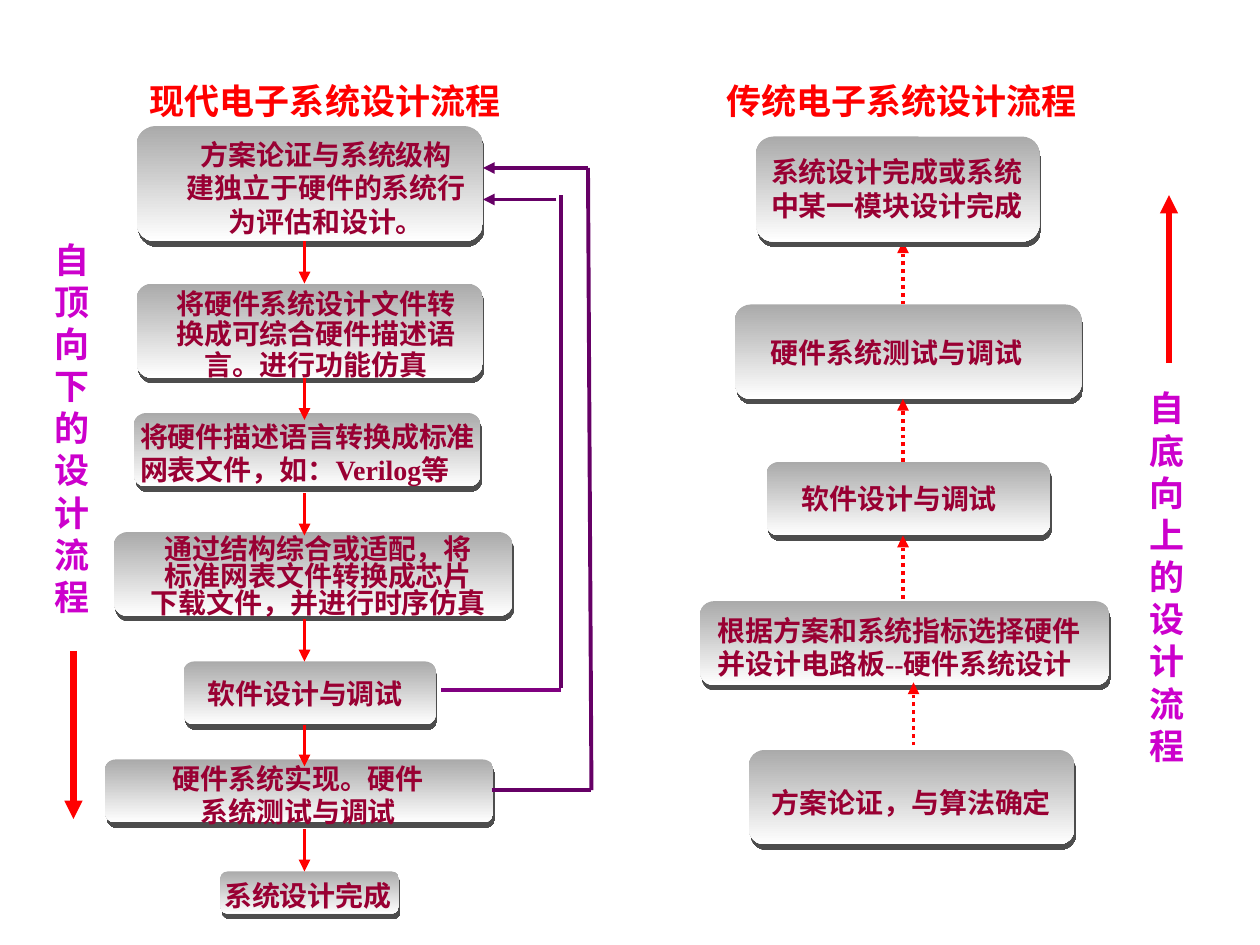
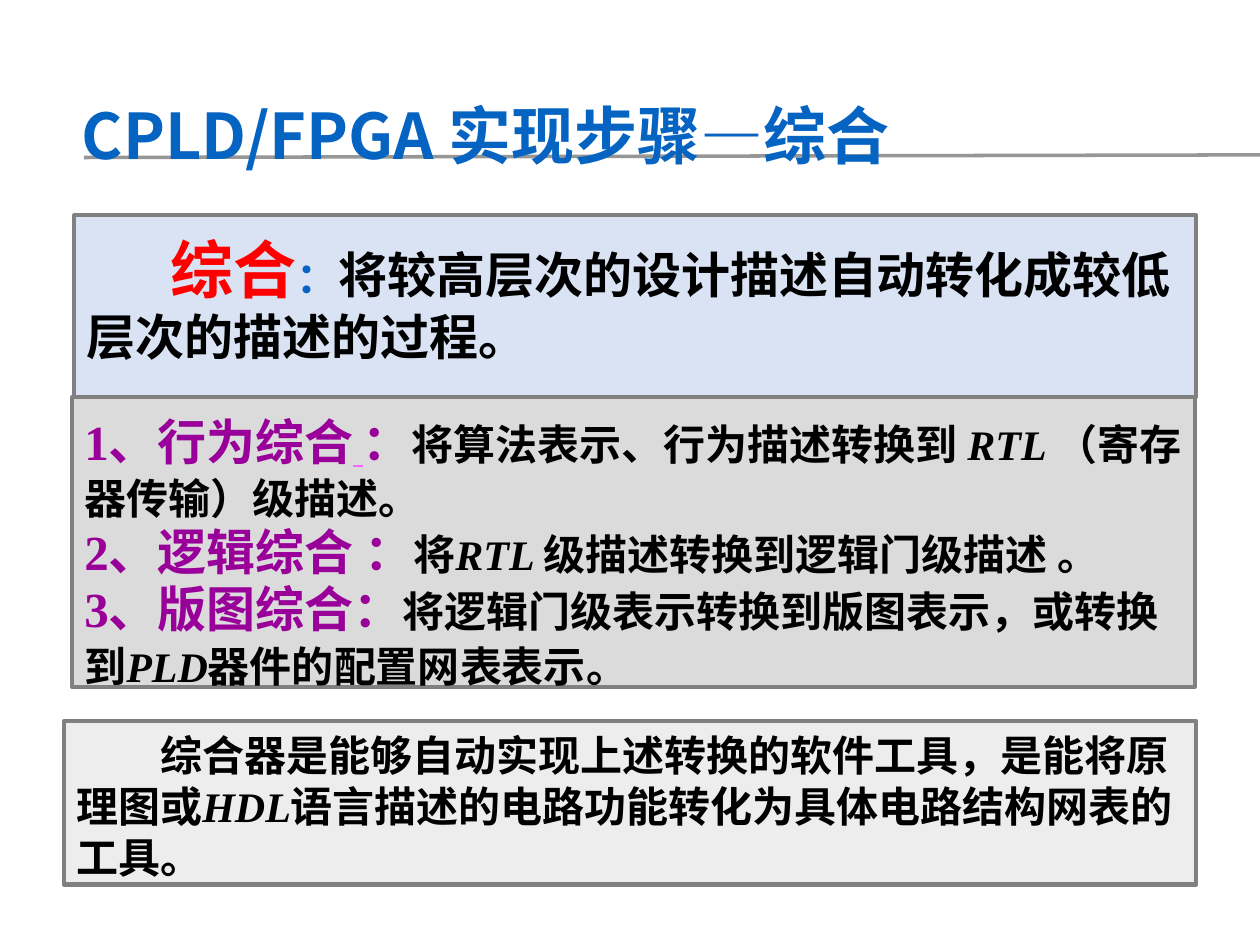
from collections import namedtuple

from lxml import etree
from pptx import Presentation
from pptx.dml.color import RGBColor
from pptx.enum import dml, shapes, text
from pptx.oxml.ns import qn
from pptx.util import Pt

COLORS = {
    "heading": "FF0000", "node_text": "990033", "direction": "CC00CC",
    "node_top": "AAAAAA", "node_bottom": "FFFFFF", "shadow": "4D4D4D",
    "arrow": "FF0000", "feedback": "660066", "feedback_stub": "800080",
    "title": "0563C1", "rule": "969696", "border": "808080", "body": "000000",
    "term": "990099", "underline": "FF66FF",
    "definition_fill": "DAE3F3", "kinds_fill": "DBDBDB", "tool_fill": "EDEDED",
}
CJK, SERIF = "Noto Sans CJK SC", "Times New Roman"
LEFT, CENTER = text.PP_ALIGN.LEFT, text.PP_ALIGN.CENTER

# Parts of a flow step: shape and text places are relative to region and shape
Step = namedtuple("Step", "dx dy width height text_dx text_dy text_width lines pitch align",
                  defaults=(19.2, LEFT))


def rgb(name):
    return RGBColor.from_string(COLORS[name])


def sub(parent, tag, **attributes):
    return etree.SubElement(parent, qn(tag), attributes)


# ---- Shared drawing helpers ----
def style(font, size=None, color=None, bold=None, italic=None, underline=None, face=None):
    if size:
        font.size = Pt(size)
    if color:
        font.color.rgb = rgb(color)
    if face:
        font.name = face
    for key, value in (("bold", bold), ("italic", italic), ("underline", underline)):
        if value is not None:
            setattr(font, key, value)


def write(frame, paragraphs, size, color, pitch, align=LEFT, top=5, indent=0,
          gap=0, face=SERIF, wrap=True):
    """Each paragraph is a string or a list of (text, font overrides)."""
    frame.auto_size = text.MSO_AUTO_SIZE.NONE
    frame.word_wrap = wrap
    frame.vertical_anchor = text.MSO_ANCHOR.TOP
    frame.margin_left = frame.margin_right = Pt(7.2)
    frame.margin_top, frame.margin_bottom = Pt(top), Pt(3.6)
    for number, content in enumerate(paragraphs):
        para = frame.add_paragraph() if number else frame.paragraphs[0]
        para.alignment = align
        para.line_spacing = Pt(pitch)
        para.space_before = Pt(gap if number else 0)
        properties = para._p.get_or_add_pPr()
        properties.set("marL", "0")
        properties.set("indent", str(int(Pt(indent))))
        sub(properties, "a:buNone")
        style(para.font, size, color, bold=True, face=face)
        latin = properties.find(qn("a:defRPr")).find(qn("a:latin"))
        latin.addnext(latin.makeelement(qn("a:ea"), {"typeface": CJK}))
        for words, overrides in [(content, {})] if isinstance(content, str) else content:
            span = para.add_run()
            span.text = words
            style(span.font, **overrides)


def add_text(page, x, y, width, height, paragraphs, *args, **options):
    box = page.shapes.add_textbox(Pt(x), Pt(y), Pt(width), Pt(height))
    write(box.text_frame, paragraphs, *args, **options)


def add_line(page, start, end, color, weight=2.25, arrow=False, dotted=False):
    line = page.shapes.add_connector(shapes.MSO_CONNECTOR.STRAIGHT,
                                     *(Pt(value) for value in (*start, *end)))
    line.line.color.rgb = rgb(color)
    line.line.width = Pt(weight)
    if dotted:
        line.line.dash_style = dml.MSO_LINE.ROUND_DOT
    if arrow:
        sub(line.line._get_or_add_ln(), "a:tailEnd", type="triangle")
    sub(line._element.spPr, "a:effectLst")
    return line


def place(shape, x, y, width, height):
    shape.left, shape.top, shape.width, shape.height = map(Pt, (x, y, width, height))


def frame_panel(shape, fill, weight=2.25):
    shape.fill.solid()
    shape.fill.fore_color.rgb = rgb(fill)
    shape.line.color.rgb = rgb("border")
    shape.line.width = Pt(weight)


# ---- Flow chart regions ----
def add_step(page, left, top, step):
    x, y = left + step.dx, top + step.dy
    node = page.shapes.add_shape(shapes.MSO_SHAPE.FLOWCHART_ALTERNATE_PROCESS,
                                 Pt(x), Pt(y), Pt(step.width), Pt(step.height))
    node.fill.gradient()
    node.fill.gradient_angle = 270
    for stop, color in zip(node.fill.gradient_stops, ("node_top", "node_bottom")):
        stop.color.rgb = rgb(color)
    node.line.fill.background()
    node.shadow.inherit = False
    shadow = sub(node._element.spPr.find(qn("a:effectLst")), "a:outerShdw", blurRad="0",
                 dist=str(int(Pt(3.2))), dir=str(72 * 60000), algn="ctr", rotWithShape="0")
    sub(shadow, "a:srgbClr", val=COLORS["shadow"])
    add_text(page, x + step.text_dx, y + step.text_dy, step.text_width,
             2 * step.pitch + 9, step.lines, 16, "node_text", step.pitch, step.align)


def add_heading(page, x, y, words):
    add_text(page, x, y, 215, 32, [words], 20, "heading", 24.2, wrap=False)


def add_direction(page, x, y, words, arrow_start, arrow_end):
    add_text(page, x, y, 36, 226, [words], 20, "direction", 24.1)
    add_line(page, (x + 18, arrow_start), (x + 18, arrow_end), "arrow", 3.5, arrow=True)


def modern_flow(page, left, top):
    add_heading(page, left + 18.5, top, "现代电子系统设计流程")
    for step in (
        Step(18, 32, 198, 66, -2, 1.5, 221,
             ["方案论证与系统级构", "建独立于硬件的系统行", "为评估和设计。"], 19.2, CENTER),
        Step(18, 122, 198, 54, 3.5, -1.5, 198,
             ["将硬件系统设计文件转", "换成可综合硬件描述语", "言。进行功能仿真"], 17.4, CENTER),
        Step(16.5, 196, 198, 42, -3.5, -1.5, 227,
             ["将硬件描述语言转换成标准", "网表文件，如：Verilog等"]),
        Step(5, 264, 228, 48, 2.5, -1.5, 229,
             ["通过结构综合或适配，将", "标准网表文件转换成芯片", "下载文件，并进行时序仿真"],
             15.4, CENTER),
        Step(45, 338, 144, 36, 6.5, 3.5, 144, ["软件设计与调试"]),
        Step(0, 394, 222, 36, 0, -4, 221, ["硬件系统实现。硬件", "系统测试与调试"], 19.2, CENTER),
        Step(66, 458, 102, 24, -5, -1, 114.5, ["系统设计完成"]),
    ):
        add_step(page, left, top, step)
    # Downward arrows
    for y in (98, 176, 242, 314, 374, 434):
        add_line(page, (left + 114, top + y), (left + 114, top + y + 24), "arrow", arrow=True)
    # Feedback loops to the first step
    for x1, y1, x2, y2, color, arrow in (
        (276, 56, 278, 411.5, "feedback", False),
        (276, 56, 216, 56, "feedback", True),
        (260.5, 71.5, 260.5, 353, "feedback", False),
        (258, 74, 216, 74, "feedback", True),
        (192, 354.5, 260.5, 354.5, "feedback_stub", False),
        (221, 411.5, 278, 411.5, "feedback", False),
    ):
        add_line(page, (left + x1, top + y1), (left + x2, top + y2), color, arrow=arrow)


def traditional_flow(page, left, top):
    add_heading(page, left + 8, top, "传统电子系统设计流程")
    for step in (
        Step(28, 388.5, 186, 54, 6, 15.5, 175.5, ["方案论证，与算法确定"]),
        Step(0, 303.5, 234, 48, 3, 2, 230.5,
             ["根据方案和系统指标选择硬件并设计电路板--硬件系统设计"]),
        Step(38, 224, 162, 42, 13, 6, 142, ["软件设计与调试"]),
        Step(20, 134, 198, 54, 13.5, 12.5, 166, ["硬件系统测试与调试"]),
    ):
        add_step(page, left, top, step)
    # Upward arrows, the last one ending under the top step
    for x, y in ((122, 386), (116, 302), (116, 224), (116, 134)):
        add_line(page, (left + x, top + y), (left + x, top + y - 36), "arrow",
                 arrow=True, dotted=True)
    add_step(page, left, top, Step(32, 38, 162, 60, 1.5, 5.5, 170,
                                   ["系统设计完成或系统中某一模块设计完成"]))


def flow_slide(deck):
    page = deck.slides.add_slide(deck.slide_layouts[6])
    modern_flow(page, 60, 40)
    traditional_flow(page, 400, 40)
    add_direction(page, 24, 131, "自顶向下的设计流程", 372, 468)
    add_direction(page, 650, 216, "自底向上的设计流程", 207.5, 111.5)


# ---- Synthesis slide ----
def title_band(page, left, top):
    title = page.shapes.title
    place(title, left, top, 560, 51)
    write(title.text_frame, ["CPLD/FPGA 实现步骤—综合"], 36, "title", 44, top=7,
          face=CJK, wrap=False)
    rule = add_line(page, (left + 8.5, top + 42.5), (720, top + 41), "rule", 2)
    title._element.addprevious(rule._element)


def text_panel(page, box, fill, weight, paragraphs, *args, **options):
    panel = page.shapes.add_shape(shapes.MSO_SHAPE.RECTANGLE, *map(Pt, box))
    panel.shadow.inherit = False
    frame_panel(panel, fill, weight)
    write(panel.text_frame, paragraphs, *args, **options)


def kinds_list(page, box):
    body = page.placeholders[1]
    place(body, *box)
    frame_panel(body, "kinds_fill")
    term, italic = {"size": 28, "color": "term"}, {"italic": True}
    write(body.text_frame, [
        [("1、行为综合", term),
         (" ", {"color": "underline", "italic": True, "underline": True}),
         ("：", term), ("将算法表示、行为描述转换到 ", {}), ("RTL ", italic),
         ("（寄存器传输）级描述。", {})],
        [("2、逻辑综合 ：", term), ("将", {}), ("RTL ", italic),
         ("级描述转换到逻辑门级描述 。", {})],
        [("3、版图综合：", term), ("将逻辑门级表示转换到版图表示，或转换到", {}),
         ("PLD", italic), ("器件的配置网表表示。", {})],
    ], 24, "body", 30.5, top=11, gap=2)


def synthesis_slide(deck):
    page = deck.slides.add_slide(deck.slide_layouts[1])
    title_band(page, 39.5, 47.5)
    # Definition
    text_panel(page, (42.5, 123, 641, 104), "definition_fill", 2.25, [[
        ("综合", {"size": 36, "color": "heading", "face": "Calibri"}),
        ("：", {"size": 24, "color": "title", "face": "Calibri"}),
        ("将较高层次的设计描述自动转化成较低层次的描述的过程。", {}),
    ]], 28, "body", 34, top=18, indent=48)
    kinds_list(page, (41, 227, 642, 165.5))
    # Synthesis tool
    text_panel(page, (36.5, 412, 647, 93.5), "tool_fill", 2.5, [[
        ("综合器是能够自动实现上述转换的软件工具，是能将原理图或", {}),
        ("HDL", {"italic": True}),
        ("语言描述的电路功能转化为具体电路结构网表的工具。", {}),
    ]], 24, "body", 29.2, top=4.6, indent=48)


def main():
    deck = Presentation()
    deck.slide_width, deck.slide_height = Pt(720), Pt(540)
    flow_slide(deck)
    synthesis_slide(deck)
    deck.save("out.pptx")


if __name__ == "__main__":
    main()
